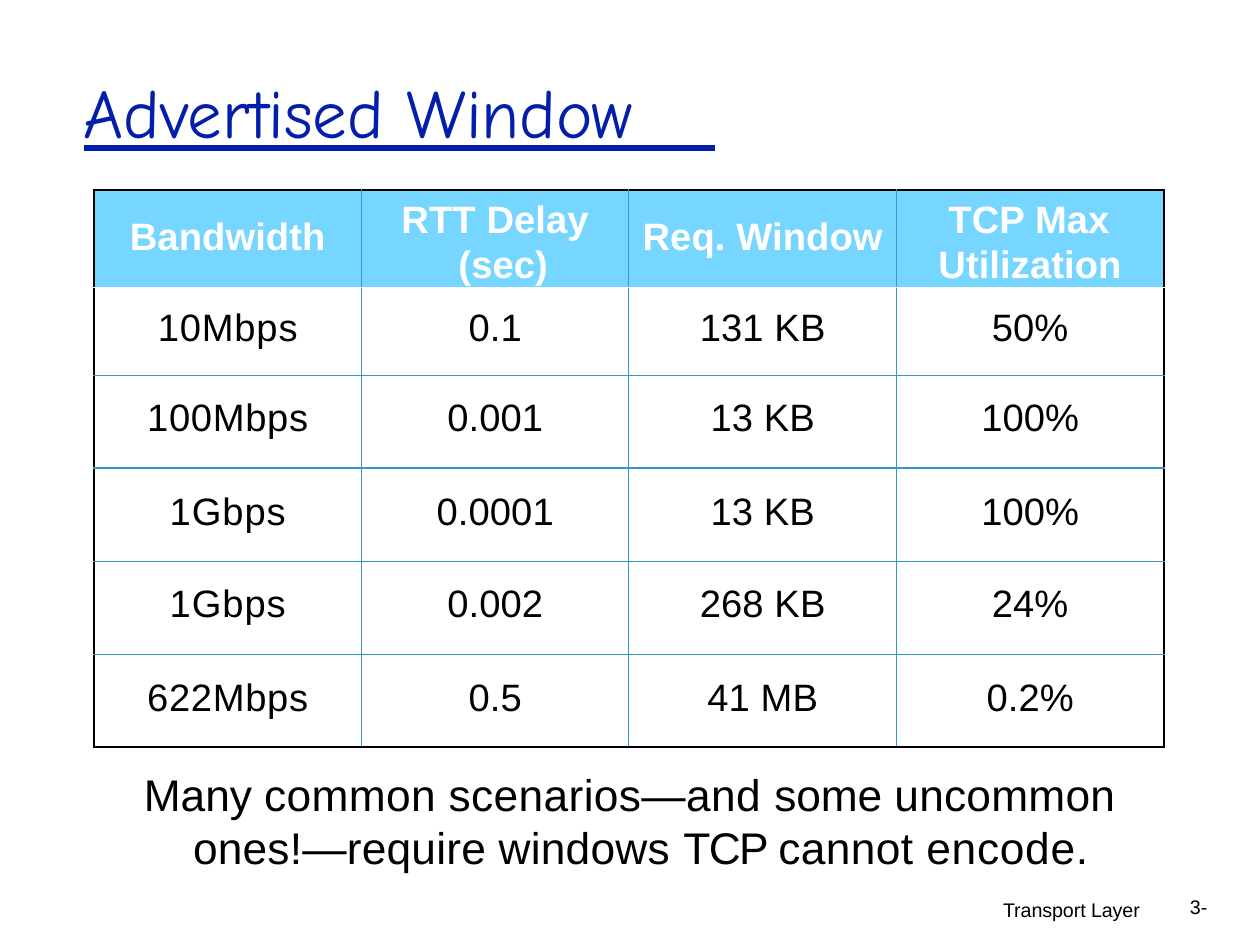
from lxml import etree
from pptx import Presentation, util as u
from pptx.dml.color import RGBColor
from pptx.enum import shapes, text
from pptx.oxml import ns

PX = 914400 / 88.6
INK = {"navy": "021EAA", "head": "76D6FF", "rule": "3797C6",
       "white": "FFFFFF", "black": "000000"}
HEADS = ["Bandwidth", "RTT Delay (sec)", "Req. Window", "TCP Max Utilization"]
ROWS = [
    ["10Mbps", "0.1", "131 KB", "50%"],
    ["100Mbps", "0.001", "13 KB", "100%"],
    ["1Gbps", "0.0001", "13 KB", "100%"],
    ["1Gbps", "0.002", "268 KB", "24%"],
    ["622Mbps", "0.5", "41 MB", "0.2%"],
]
HIGHS = [97, 88, 93, 93, 93, 93]
PADS = [26, 20, 22, 23, 22, 23]
WRAPS = {1: (97, -57), 3: (42, 10)}  # left margin and first-line indent
TRACKS = [0.7, 0.6, 0.8, 0.8, 0.6]
EDGE, THIN = ("black", 2.25), ("rule", 1)
ACROSS = [EDGE, ("white", 0.5), THIN, ("rule", 1.5), THIN, THIN, EDGE]
DOWN = [EDGE, THIN, THIN, THIN, EDGE]


def px(num):
    """Turn pixels into EMU."""
    return u.Emu(round(num * PX))


def tint(name):
    """Look up a colour."""
    return RGBColor.from_string(INK[name])


def style(run, size, color, face="Arial", bold=False, track=0):
    """Format a run; track is letter spacing in points."""
    font = run.font
    font.size, font.name, font.bold = u.Pt(size), face, bold
    font.color.rgb = tint(color)
    if track:
        font._element.set("spc", str(round(track * 100)))


def indent(para, left, first):
    """Set the left margin and first-line indent of a paragraph."""
    props = para._p.get_or_add_pPr()
    props.set("marL", str(px(left)))
    props.set("indent", str(px(first)))


def border(cell, sides):
    """Draw the cell's edges from (tag, (colour, width)) pairs."""
    props = cell._tc.get_or_add_tcPr()
    for tag, (color, width) in sides:
        line = etree.SubElement(props, ns.qn("a:" + tag), w=str(u.Pt(width)))
        fill = etree.SubElement(line, ns.qn("a:solidFill"))
        etree.SubElement(fill, ns.qn("a:srgbClr"), val=INK[color])


def heading(slide, box):
    """Place the title and the rule beneath it."""
    left, top, wide, high = box
    title = slide.shapes.title
    title.left, title.top, title.width, title.height = map(px, box)
    frame = title.text_frame
    frame.text = "Advertised Window"
    frame.margin_left = frame.margin_right = frame.margin_bottom = 0
    frame.margin_top = px(1)
    frame.vertical_anchor = text.MSO_ANCHOR.TOP
    frame.auto_size = text.MSO_AUTO_SIZE.NONE
    para = frame.paragraphs[0]
    para.alignment = text.PP_ALIGN.LEFT
    indent(para, 1, 0)
    style(para.runs[0], 56, "navy", "Comic Neue", track=-0.1)
    level = px(top + high - 6)
    line = slide.shapes.add_connector(
        shapes.MSO_CONNECTOR.STRAIGHT,
        px(left + 1), level, px(left + wide - 1), level)
    line.line.color.rgb = tint("navy")
    line.line.width = u.Pt(4.79)
    etree.SubElement(line._element.spPr, ns.qn("a:effectLst"))


def grid(slide, box):
    """Place the table of bandwidths, delays and windows."""
    table = slide.shapes.add_table(
        len(ROWS) + 1, len(HEADS), *map(px, box)).table
    table.first_row = table.horz_banding = False
    for col in table.columns:
        col.width = px(box[2] / len(HEADS))
    for r, words in enumerate([HEADS] + ROWS):
        table.rows[r].height = px(HIGHS[r])
        for c, word in enumerate(words):
            cell = table.cell(r, c)
            cell.text = word
            cell.margin_left = cell.margin_right = cell.margin_bottom = 0
            cell.margin_top = px(PADS[r])
            border(cell, [("lnL", DOWN[c]), ("lnR", DOWN[c + 1]),
                          ("lnT", ACROSS[r]), ("lnB", ACROSS[r + 1])])
            para = cell.text_frame.paragraphs[0]
            para.alignment = text.PP_ALIGN.CENTER
            if r:
                cell.fill.background()
                track = 0.1 if c else TRACKS[r - 1]
                style(para.runs[0], 31, "black", track=track)
                continue
            cell.fill.solid()
            cell.fill.fore_color.rgb = tint("head")
            style(para.runs[0], 31, "white", bold=True, track=0.1)
            if c in WRAPS:
                cell.margin_top = px(6)
                para.alignment = text.PP_ALIGN.LEFT
                para.line_spacing = u.Pt(37)
                indent(para, *WRAPS[c])


def label(slide, box, parts, size, lead, pad=0, left=1, first=0):
    """Place a text box of (words, letter spacing) parts."""
    frame = slide.shapes.add_textbox(*map(px, box)).text_frame
    frame.word_wrap = True
    frame.margin_left = frame.margin_right = frame.margin_bottom = 0
    frame.margin_top = px(pad)
    para = frame.paragraphs[0]
    para.line_spacing = u.Pt(lead)
    indent(para, left, first)
    for words, track in parts:
        run = para.add_run()
        run.text = words
        style(run, size, "black", track=track)


def footer(slide, box):
    """Place the chapter name and the page number."""
    left, top, wide, high = box
    label(slide, (left, top + 3, 142, high), [("Transport Layer", -0.05)],
          16, 18.7)
    label(slide, (left + wide - 20, top, 20, high), [("3-", 0)], 16, 18.7)


def note(slide, box):
    """Place the closing remark."""
    parts = [("Many ", -0.1), ("common scenarios—and ", 0.3), ("some ", -0.1),
             ("uncommon ones!—require windows ", 0.2), ("TCP ", -1.4),
             ("cannot ", 0.3), ("encode.", 0.6)]
    label(slide, box, parts, 36, 43, pad=4, left=50, first=-49)


deck = Presentation()
deck.slide_width, deck.slide_height = px(1260), px(945)
page = deck.slides.add_slide(deck.slide_layouts[5])
heading(page, (83, 69, 633, 85))
grid(page, (94, 190, 1070, sum(HIGHS)))
footer(page, (1002, 895, 207, 25))
note(page, (143, 763, 975, 109))
deck.save("out.pptx")
